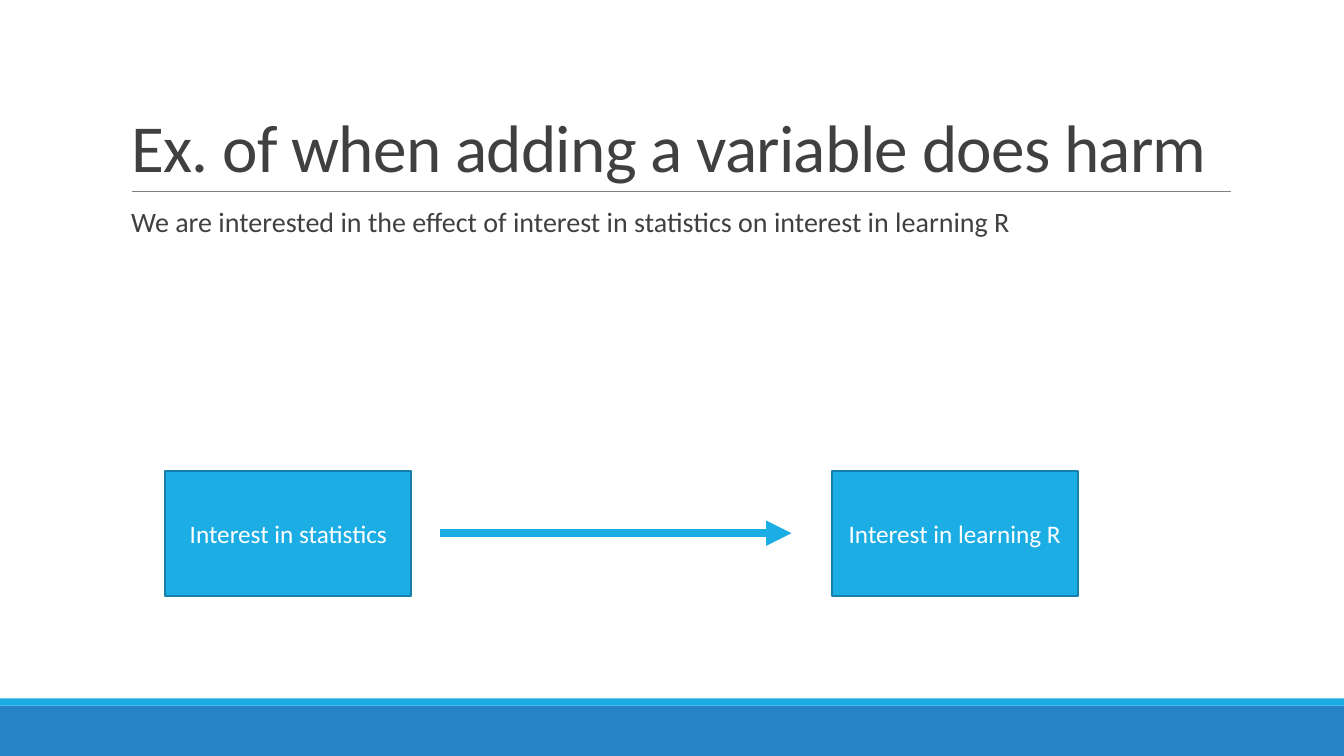
import pptx
import pptx.dml.color
import pptx.enum.shapes
import pptx.enum.text
import pptx.oxml
import pptx.oxml.ns
import pptx.util
from pptx.util import Inches

COLOURS = {
    "text": "404040",
    "rule": "808080",
    "band": "2683C6",
    "accent": "1CADE4",
    "outline": "1580A9",
    "label": "FFFFFF",
}
FONT = "Calibri"
BOX_WIDTH, BOX_HEIGHT, BOX_TOP = 2.44, 1.24, 4.67
ARROW_Y = BOX_TOP + BOX_HEIGHT / 2


def colour(name):
    return pptx.dml.color.RGBColor.from_string(COLOURS[name])


def place(shape, left, top, width, height):
    shape.left, shape.top = Inches(left), Inches(top)
    shape.width, shape.height = Inches(width), Inches(height)


def write_text(shape, text, size, colour_name, anchor):
    """Fill a shape with one formatted paragraph and return it."""
    frame = shape.text_frame
    frame.text = text
    frame.word_wrap = True
    frame.auto_size = pptx.enum.text.MSO_AUTO_SIZE.NONE
    frame.vertical_anchor = anchor
    para = frame.paragraphs[0]
    para.space_before = pptx.util.Pt(0)
    font = para.runs[0].font
    font.name = FONT
    font.size = pptx.util.Pt(size)
    font.color.rgb = colour(colour_name)
    return para


def add_rectangle(page, left, top, width, height, fill):
    box = page.shapes.add_shape(
        pptx.enum.shapes.MSO_SHAPE.RECTANGLE,
        Inches(left), Inches(top), Inches(width), Inches(height))
    box.shadow.inherit = False
    box.fill.solid()
    box.fill.fore_color.rgb = colour(fill)
    box.line.fill.background()
    return box


def add_variable(page, left, text):
    box = add_rectangle(page, left, BOX_TOP, BOX_WIDTH, BOX_HEIGHT, "accent")
    box.line.color.rgb = colour("outline")
    box.line.width = pptx.util.Pt(1.25)
    para = write_text(box, text, 18, "label", pptx.enum.text.MSO_ANCHOR.MIDDLE)
    para.alignment = pptx.enum.text.PP_ALIGN.CENTER


def add_line(page, start, end, y, colour_name, width, arrow=False):
    line = page.shapes.add_connector(
        pptx.enum.shapes.MSO_CONNECTOR.STRAIGHT,
        Inches(start), Inches(y), Inches(end), Inches(y))
    line.line.color.rgb = colour(colour_name)
    line.line.width = pptx.util.Pt(width)
    if arrow:
        head = pptx.oxml.parse_xml(
            f'<a:tailEnd {pptx.oxml.ns.nsdecls("a")} type="triangle"/>')
        line.line._get_or_add_ln().append(head)
    line._element.spPr.append(
        pptx.oxml.parse_xml(f'<a:effectLst {pptx.oxml.ns.nsdecls("a")}/>'))


def write_title(page, text):
    title = page.shapes.title
    place(title, 1.2, 0.31, 11, 1.59)
    para = write_text(title, text, 48, "text", pptx.enum.text.MSO_ANCHOR.BOTTOM)
    para.alignment = pptx.enum.text.PP_ALIGN.LEFT
    para.line_spacing = 0.85
    para.runs[0]._r.get_or_add_rPr().set("spc", "-50")


def write_body(page, text):
    body = page.placeholders[1]
    place(body, 1.2, 2.02, 11, 4.4)
    para = write_text(body, text, 20, "text", pptx.enum.text.MSO_ANCHOR.TOP)
    body.text_frame.margin_left = body.text_frame.margin_right = 0
    para.line_spacing = 0.9
    para.space_after = pptx.util.Pt(2)
    properties = para._p.get_or_add_pPr()
    properties.set("marL", str(Inches(0.1)))
    properties.set("indent", "0")
    properties.append(
        pptx.oxml.parse_xml(f'<a:buNone {pptx.oxml.ns.nsdecls("a")}/>'))


def main():
    deck = pptx.Presentation()
    deck.slide_width, deck.slide_height = Inches(13.33), Inches(7.5)
    page = deck.slides.add_slide(deck.slide_layouts[1])

    add_rectangle(page, 0, 7, 13.33, 0.5, "band")
    add_rectangle(page, 0, 6.93, 13.33, 0.07, "accent")
    add_line(page, 1.31, 12.21, 1.9, "rule", 0.5)

    write_title(page, "Ex. of when adding a variable does harm")
    write_body(page, "We are interested in the effect of interest in statistics "
                     "on interest in learning R")

    add_variable(page, 1.64, "Interest in statistics")
    add_variable(page, 8.25, "Interest in learning R")
    add_line(page, 4.36, 7.85, ARROW_Y, "accent", 6, arrow=True)

    deck.save("out.pptx")


if __name__ == "__main__":
    main()
